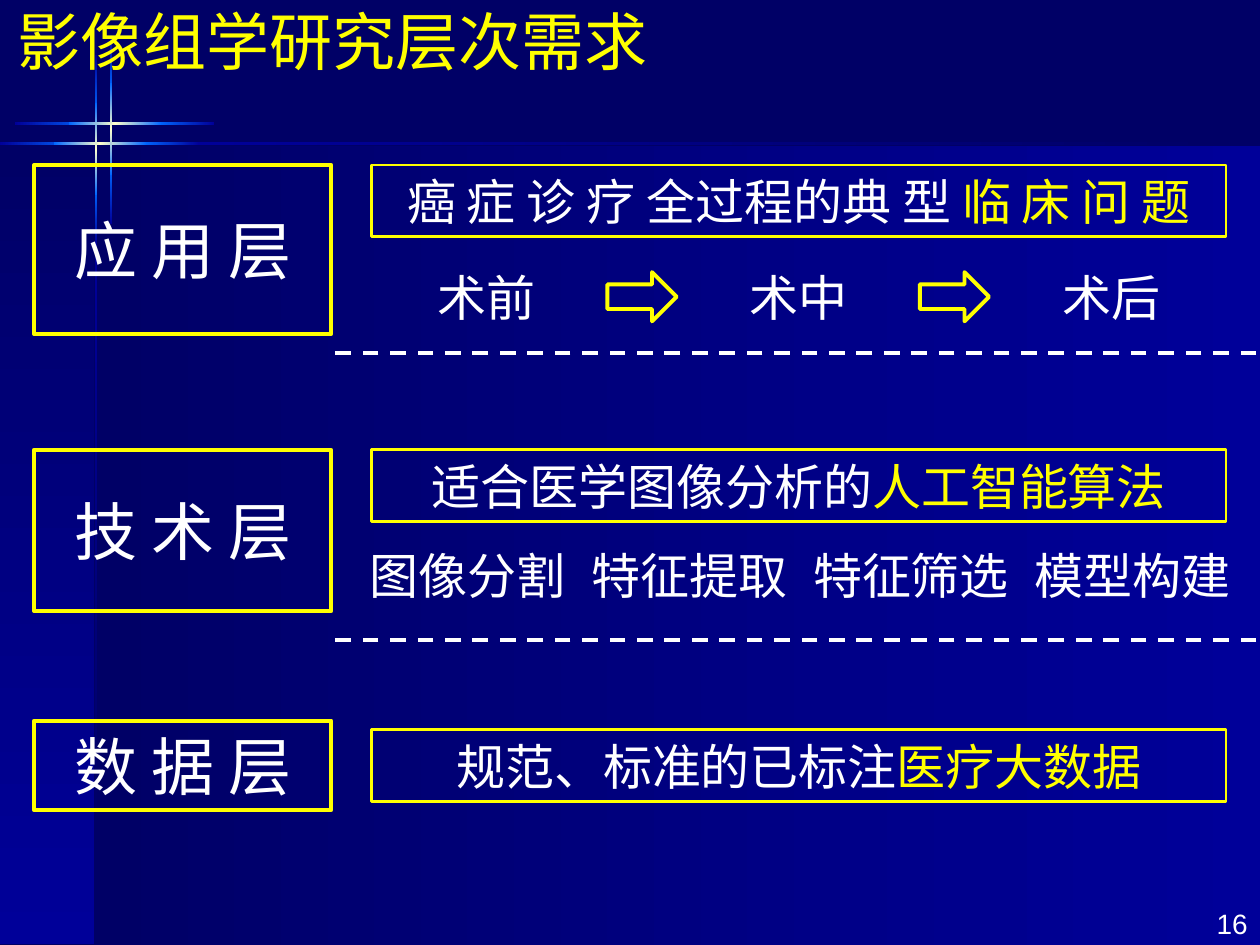
import dataclasses

import lxml.etree
import pptx
import pptx.dml.color
import pptx.enum.dml
import pptx.enum.shapes
import pptx.enum.text
import pptx.oxml
import pptx.oxml.ns
import pptx.util

Inches = pptx.util.Inches
Pt = pptx.util.Pt
SHAPE = pptx.enum.shapes.MSO_SHAPE
ALIGN = pptx.enum.text.PP_ALIGN
ANCHOR = pptx.enum.text.MSO_ANCHOR


@dataclasses.dataclass(frozen=True)
class Theme:
    """Colours, fonts and type sizes of the deck."""
    navy: str = "000066"
    blue: str = "000099"
    bright: str = "0066FF"
    cream: str = "FFFFCC"
    white: str = "FFFFFF"
    yellow: str = "FFFF00"
    latin: str = "Arial"
    cjk: str = "Noto Sans CJK SC"
    heading: int = 36
    body: int = 28
    number: int = 16
    thick: float = 2.25
    thin: float = 1.5


def rgb(color):
    """Return the colour object for a hex string."""
    return pptx.dml.color.RGBColor.from_string(color)


class Builder:
    """Adds styled elements to the current slide."""

    def __init__(self, s, theme):
        self.s, self.theme = s, theme
        s.background.fill.solid()
        s.background.fill.fore_color.rgb = rgb(theme.navy)

    def set_text(self, sp, runs, size, align=ALIGN.CENTER, anchor=ANCHOR.MIDDLE,
                 font=None, spacing=1.0):
        """Fill a shape with one paragraph of (text, colour) runs."""
        tf = sp.text_frame
        frame = {"word_wrap": True, "vertical_anchor": anchor,
                 "auto_size": pptx.enum.text.MSO_AUTO_SIZE.NONE,
                 "margin_left": Inches(0.1), "margin_right": Inches(0.1),
                 "margin_top": Inches(0.05), "margin_bottom": Inches(0.05)}
        for name, value in frame.items():
            setattr(tf, name, value)
        p = tf.paragraphs[0]
        p.alignment, p.line_spacing = align, spacing
        for text, color in runs:
            r = p.add_run()
            r.text = text
            style = {"size": Pt(size), "name": font or self.theme.latin, "bold": False}
            for name, value in style.items():
                setattr(r.font, name, value)
            r.font.color.rgb = rgb(color)
            ea = lxml.etree.SubElement(r.font._element, pptx.oxml.ns.qn("a:ea"))
            ea.set("typeface", self.theme.cjk)

    def title(self, text, x, y, w, h):
        """Place the title in front of the background bands."""
        sp = self.s.shapes.title
        box = {"left": x, "top": y, "width": w, "height": h}
        for name, value in box.items():
            setattr(sp, name, Inches(value))
        self.set_text(sp, [(text, self.theme.yellow)], self.theme.heading,
                      ALIGN.LEFT, ANCHOR.TOP, spacing=0.9)
        self.s.shapes._spTree.append(sp._element)

    def label(self, text, x, y, w, h, size=None, align=ALIGN.CENTER):
        """Add a white text box."""
        sp = self.s.shapes.add_textbox(*map(Inches, (x, y, w, h)))
        self.set_text(sp, [(text, self.theme.white)], size or self.theme.body, align)

    def outline(self, x, y, w, h, width, shape=SHAPE.RECTANGLE):
        """Add an unfilled shape with a yellow outline."""
        sp = self.s.shapes.add_shape(shape, *map(Inches, (x, y, w, h)))
        sp.shadow.inherit = False
        sp.fill.background()
        sp.line.color.rgb = rgb(self.theme.yellow)
        sp.line.width = Pt(width)
        return sp

    def layer(self, text, y, h):
        """Add the box naming a layer."""
        sp = self.outline(0.27, y, 2.36, h, self.theme.thick)
        self.set_text(sp, [(text, self.theme.white)], self.theme.heading,
                      font=self.theme.cjk)

    def need(self, text, focus, y):
        """Add a need box whose last words are highlighted."""
        sp = self.outline(2.95, y, 6.78, 0.57, self.theme.thin)
        self.set_text(sp, [(text, self.theme.white), (focus, self.theme.yellow)],
                      self.theme.body)

    def divider(self, y):
        """Add a dashed line between layers."""
        ends = map(Inches, (9.97, y, 2.64, y))
        line = self.s.shapes.add_connector(
            pptx.enum.shapes.MSO_CONNECTOR.STRAIGHT, *ends)
        line.line.color.rgb = rgb(self.theme.white)
        line.line.width = Pt(self.theme.thick)
        line.line.dash_style = pptx.enum.dml.MSO_LINE.DASH
        lxml.etree.SubElement(line._element.spPr, pptx.oxml.ns.qn("a:effectLst"))

    def band(self, x, y, w, h, colors, angle):
        """Add a rectangle with evenly spaced gradient colours."""
        sp = self.s.shapes.add_shape(SHAPE.RECTANGLE, *map(Inches, (x, y, w, h)))
        sp.shadow.inherit = False
        sp.line.fill.background()
        step = 100000 // (len(colors) - 1)
        stops = "".join(f'<a:gs pos="{i * step}"><a:srgbClr val="{c}"/></a:gs>'
                        for i, c in enumerate(colors))
        grad = pptx.oxml.parse_xml(
            f'<a:gradFill {pptx.oxml.ns.nsdecls("a")} rotWithShape="1">'
            f'<a:gsLst>{stops}</a:gsLst>'
            f'<a:lin ang="{angle * 60000}" scaled="0"/></a:gradFill>')
        sp._element.spPr.find(pptx.oxml.ns.qn("a:prstGeom")).addnext(grad)

    def cross(self, dx, dy):
        """Add a glowing cross shifted by dx and dy."""
        t = self.theme
        fade_in, fade_out = (t.blue, t.bright), (t.bright, t.blue)
        glow = (t.bright, t.cream, t.bright)
        for x, w, colors in ((1.14, 0.44, fade_out), (0, 0.61, fade_in),
                             (0.43, 0.73, glow)):
            self.band(x + dx, 1.13 + dy, w, 0.02, colors, 0)
        for y, h, colors in ((1.5, 0.44, fade_out), (0.44, 0.44, fade_in),
                             (0.82, 0.73, glow)):
            self.band(0.75 + dx, y + dy, 0.02, h, colors, 90)


def main():
    """Build the slide and save it."""
    prs = pptx.Presentation()
    prs.slide_width, prs.slide_height = Inches(10), Inches(7.5)
    t = Theme()
    b = Builder(prs.slides.add_slide(prs.slide_layouts[5]), t)

    rise, fall = (t.navy, t.blue), (t.blue, t.navy)
    for x, y, w, h, colors, angle in (
            (0.75, 1.16, 9.25, 6.34, rise, 0), (0, 1.15, 0.75, 6.34, rise, 90),
            (0.75, 0.02, 0.02, 1.21, rise, 90), (0.75, 1.94, 0.02, 4.68, fall, 90),
            (1.53, 1.13, 8.23, 0.02, fall, 0)):
        b.band(x, y, w, h, colors, angle)
    for dx, dy in ((0, 0), (0.12, -0.16)):
        b.cross(dx, dy)

    b.label("16", 9.02, 7.14, 0.98, 0.37, t.number, ALIGN.RIGHT)
    b.title("影像组学研究层次需求", 0.04, 0.04, 9.06, 0.8)
    for text, y, h in (("应 用 层", 1.31, 1.34), ("技 术 层", 3.57, 1.28),
                       ("数 据 层", 5.72, 0.71)):
        b.layer(text, y, h)
    for y in (2.8, 5.08):
        b.divider(y)
    for text, focus, y in (("癌 症 诊 疗 全过程的典 型 ", "临 床 问 题", 1.31),
                           ("适合医学图像分析的", "人工智能算法", 3.57),
                           ("规范、标准的已标注", "医疗大数据", 5.79)):
        b.need(text, focus, y)
    for i, text in enumerate(("术前", "术中", "术后")):
        b.label(text, 2.95 + 2.48 * i, 2.07, 1.82, 0.57)
    for i in range(2):
        b.outline(4.82 + 2.48 * i, 2.16, 0.55, 0.39, t.thick, SHAPE.RIGHT_ARROW)
    for i, text in enumerate(("图像分割", "特征提取", "特征筛选", "模型构建")):
        b.label(text, 2.8 + 1.76 * i, 4.28, 1.82, 0.57)
    prs.save("out.pptx")


if __name__ == "__main__":
    main()
